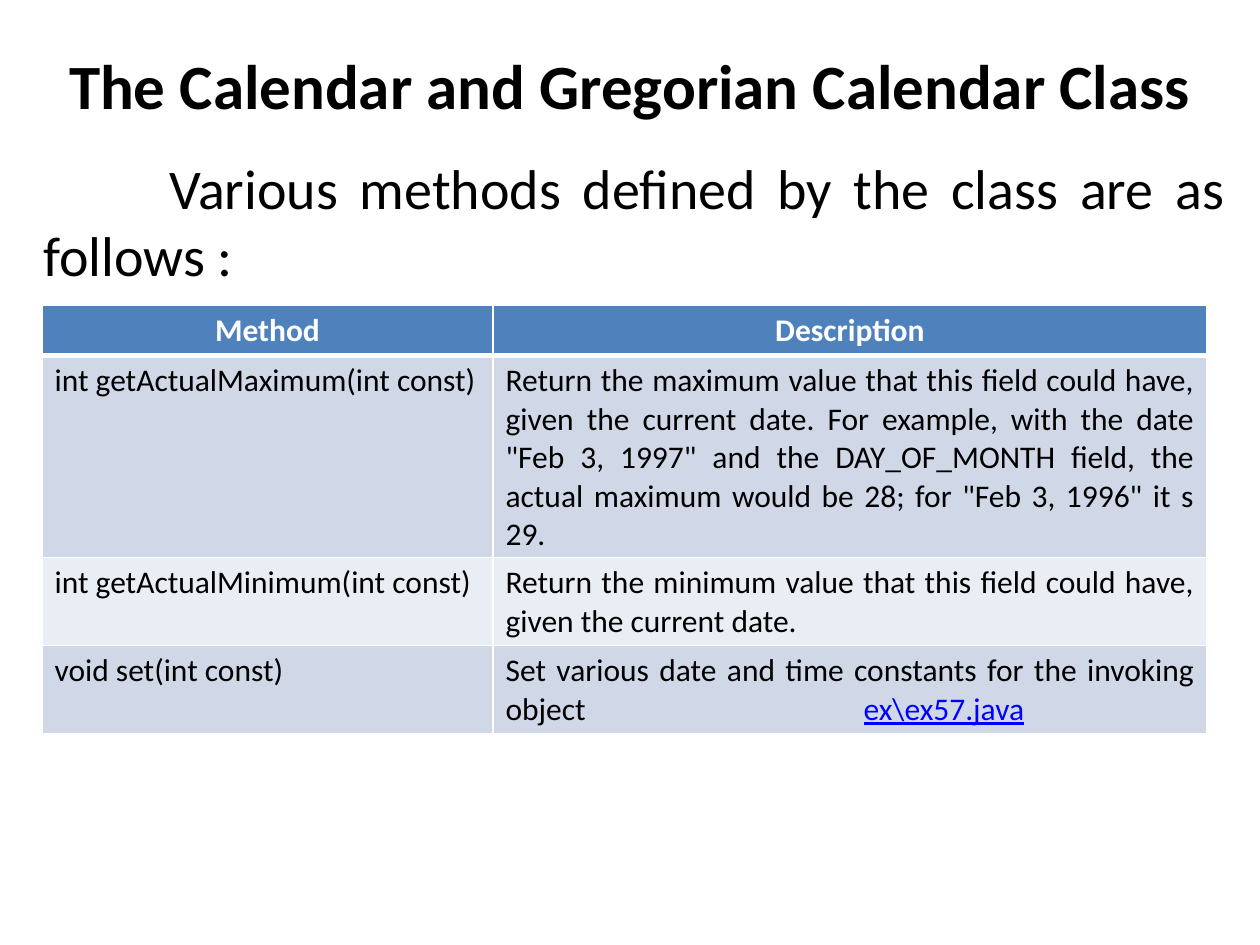
import pptx
import pptx.dml.color
import pptx.enum.text
import pptx.oxml
import pptx.oxml.ns
import pptx.util
from lxml import etree

RGBColor = pptx.dml.color.RGBColor
ALIGN = pptx.enum.text.PP_ALIGN
ANCHOR = pptx.enum.text.MSO_ANCHOR

PX_PER_INCH = 126
FONT = "Calibri"
BLACK = RGBColor(0x00, 0x00, 0x00)
WHITE = RGBColor(0xFF, 0xFF, 0xFF)
HEADER_BLUE = RGBColor(0x4F, 0x81, 0xBD)
BAND_DARK = RGBColor(0xD0, 0xD8, 0xE8)
BAND_LIGHT = RGBColor(0xE9, 0xED, 0xF4)
LINK_BLUE = RGBColor(0x00, 0x00, 0xFF)

COLUMN_WIDTHS = [451, 714]
ROW_HEIGHTS = [50, 202, 88, 88]
LINK_TAB = 358
HEADINGS = ["Method", "Description"]
METHODS = [
    ("int getActualMaximum(int const)",
     'Return the maximum value that this field could have, given the current date. '
     'For example, with the date "Feb 3, 1997" and the DAY_OF_MONTH field, the actual '
     'maximum would be 28; for "Feb 3, 1996" it s 29.'),
    ("int getActualMinimum(int const)",
     "Return the minimum value that this field could have, given the current date."),
    ("void set(int const)",
     "Set various date and time constants for the invoking object\t"),
]


def px(length):
    return pptx.util.Emu(round(length * 914400 / PX_PER_INCH))


def add_span(para, text, size=18, color=BLACK, bold=False, underline=None, align=ALIGN.JUSTIFY):
    para.alignment = align
    span = para.add_run()
    span.text = text
    span.font.name = FONT
    span.font.size = pptx.util.Pt(size)
    span.font.bold = bold
    span.font.underline = underline
    span.font.color.rgb = color


def add_box(page, left, top, width, height, text, anchor=ANCHOR.TOP, indent=0, **style):
    box = page.shapes.add_textbox(px(left), px(top), px(width), px(height))
    frame = box.text_frame
    frame.word_wrap = True
    frame.vertical_anchor = anchor
    para = frame.paragraphs[0]
    add_span(para, text, **style)
    if indent:
        para._p.get_or_add_pPr().set("indent", str(px(indent)))


def set_border(cell, side, points):
    line = etree.SubElement(cell._tc.get_or_add_tcPr(), pptx.oxml.ns.qn(f"a:ln{side}"),
                            w=str(pptx.util.Pt(points)))
    fill = etree.SubElement(line, pptx.oxml.ns.qn("a:solidFill"))
    etree.SubElement(fill, pptx.oxml.ns.qn("a:srgbClr"), val=str(WHITE))


def fill_cell(cell, text, fill, top=1, bottom=1, **style):
    for side, points in {"L": 1, "R": 1, "T": top, "B": bottom}.items():
        set_border(cell, side, points)
    cell.fill.solid()
    cell.fill.fore_color.rgb = fill
    add_span(cell.text_frame.paragraphs[0], text, **style)


def add_tab_stop(para, position):
    tabs = etree.SubElement(para._p.get_or_add_pPr(), pptx.oxml.ns.qn("a:tabLst"))
    etree.SubElement(tabs, pptx.oxml.ns.qn("a:tab"), pos=str(px(position)), algn="l")


def add_method_table(page, left, top):
    table = page.shapes.add_table(
        len(ROW_HEIGHTS), len(COLUMN_WIDTHS), px(left), px(top),
        px(sum(COLUMN_WIDTHS)), px(sum(ROW_HEIGHTS))).table
    for column, width in zip(table.columns, COLUMN_WIDTHS):
        column.width = px(width)
    for row, height in zip(table.rows, ROW_HEIGHTS):
        row.height = px(height)
    for column, heading in enumerate(HEADINGS):
        fill_cell(table.cell(0, column), heading, HEADER_BLUE, bottom=3,
                  color=WHITE, bold=True, align=ALIGN.CENTER)
    for row, texts in enumerate(METHODS, start=1):
        band = BAND_DARK if row % 2 else BAND_LIGHT
        for column, text in enumerate(texts):
            fill_cell(table.cell(row, column), text, band, top=3 if row == 1 else 1)
    link_para = table.cell(len(METHODS), 1).text_frame.paragraphs[0]
    add_tab_stop(link_para, LINK_TAB)
    add_span(link_para, "ex\\ex57.java", color=LINK_BLUE, underline=True)


def main():
    deck = pptx.Presentation()
    deck.slide_width = px(1260)
    deck.slide_height = px(945)
    page = deck.slides.add_slide(deck.slide_layouts[6])
    add_box(page, 0, 21, 1260, 126, "The Calendar and Gregorian Calendar Class",
            anchor=ANCHOR.MIDDLE, size=36, bold=True, align=ALIGN.CENTER)
    add_box(page, 31, 147, 1207, 149, "Various methods defined by the class are as follows :",
            indent=126, size=32)
    add_method_table(page, 42, 305)
    deck.save("out.pptx")


if __name__ == "__main__":
    main()
